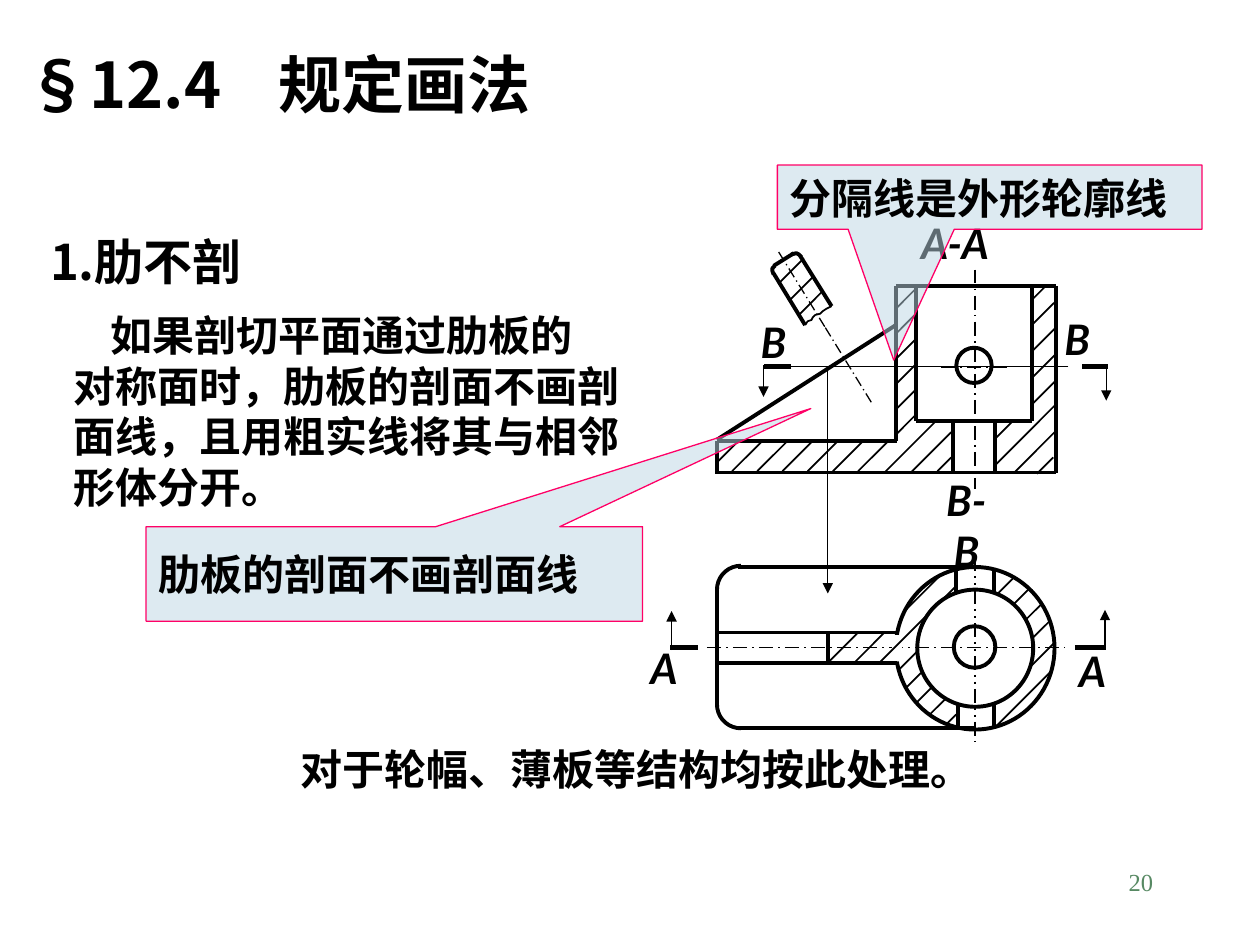
from math import cos, radians, sin

from lxml.etree import SubElement
from pptx import Presentation
from pptx.dml.color import RGBColor
from pptx.enum.dml import MSO_LINE
from pptx.enum.shapes import MSO_CONNECTOR, MSO_SHAPE
from pptx.enum.text import MSO_ANCHOR, MSO_AUTO_SIZE, PP_ALIGN
from pptx.oxml.ns import qn
from pptx.util import Inches, Pt

COLORS = {"ink": "000000", "paper": "FFFFFF", "callout": "BDD7E5",
          "callout_edge": "FF0066", "number": "578963"}
CJK = "Noto Sans CJK SC"
THICK, HATCH, THIN, CUT = 2.25, 1, 0.75, 3

deck = Presentation()
deck.slide_width, deck.slide_height = Inches(10), Inches(7.5)
page = deck.slides.add_slide(deck.slide_layouts[1])
shapes = page.shapes


def draw_line(x1, y1, x2, y2, width, dash=None, arrow=False):
    line = shapes.add_connector(MSO_CONNECTOR.STRAIGHT, *map(Inches, (x1, y1, x2, y2)))
    line.line.color.rgb = RGBColor.from_string(COLORS["ink"])
    line.line.width = Pt(width)
    if dash:
        line.line.dash_style = dash
    properties = line._element.spPr
    if arrow:
        SubElement(properties.find(qn("a:ln")), qn("a:tailEnd"), type="triangle")
    SubElement(properties, qn("a:effectLst"))


def write(box, lines, size, font=CJK, color="ink", align=PP_ALIGN.LEFT,
          anchor=MSO_ANCHOR.TOP, wrap=True, tab=None, indent=0, italic=False, bold=True):
    """Fill a shape's text frame; only the first line is indented."""
    frame = box.text_frame
    frame.text = "\n".join(lines)
    frame.word_wrap, frame.vertical_anchor = wrap, anchor
    frame.auto_size = MSO_AUTO_SIZE.NONE
    for index, para in enumerate(frame.paragraphs):
        para.alignment = align
        para.space_before = para.space_after = Pt(0)
        para.line_spacing = Pt(size * 1.2)
        properties = para._p.get_or_add_pPr()
        properties.set("marL", "0")
        properties.set("indent", str(0 if index else Inches(indent)))
        SubElement(properties, qn("a:buNone"))
        if tab:
            stops = SubElement(properties, qn("a:tabLst"))
            SubElement(stops, qn("a:tab"), pos=str(Inches(tab)), algn="l")
        for span in para.runs:
            values = {"name": font, "size": Pt(size), "bold": bold, "italic": italic}
            for name, value in values.items():
                setattr(span.font, name, value)
            span.font.color.rgb = RGBColor.from_string(COLORS[color])
            SubElement(span._r.get_or_add_rPr(), qn("a:ea"), typeface=font)


# Title, body and other text
title, body = shapes.title, page.placeholders[1]
for holder, place in ((title, (0.11, 0.31, 9.42, 0.7)), (body, (0.48, 2.41, 9.52, 1.7))):
    holder.left, holder.top, holder.width, holder.height = map(Inches, place)
write(title, ["§12.4\t规定画法"], 36, tab=2.01)
write(body, ["如果剖切平面通过肋板的", "对称面时，肋板的剖面不画剖",
             "面线，且用粗实线将其与相邻", "形体分开。"], 24, indent=0.3)

for place, text, size, style in (
    ((0.3, 1.79, 9.7, 0.57), "1.肋不剖", 28, {}),
    ((2.29, 5.85, 6.96, 0.5), "对于轮幅、薄板等结构均按此处理。", 24, {}),
    ((7.17, 6.83, 2.08, 0.5), "20", 14, {"font": "Times New Roman", "color": "number",
                                         "align": PP_ALIGN.RIGHT, "bold": False}),
):
    write(shapes.add_textbox(*map(Inches, place)), [text], size, **style)

# Centre lines
for x1, y1, x2, y2, width, dash in (
    (7.74, 4.42, 7.74, 5.89, 1, MSO_LINE.DASH_DOT_DOT),
    (5.61, 5.14, 8.45, 5.14, 1, MSO_LINE.LONG_DASH_DOT),
    (7.74, 2.14, 7.74, 3.88, 1, MSO_LINE.LONG_DASH_DOT),
    (7.47, 2.91, 8.01, 2.91, 1, MSO_LINE.LONG_DASH_DOT),
    (6.18, 2, 6.55, 2.6, THIN, MSO_LINE.LONG_DASH_DOT),
    (6.55, 2.6, 6.92, 3.2, THIN, MSO_LINE.LONG_DASH_DOT),
):
    draw_line(x1, y1, x2, y2, width, dash)

# Circles of the plan view and the cross hole
for place in ((7.11, 4.5, 1.26, 1.29), (7.28, 4.68, 0.92, 0.93),
              (7.57, 4.97, 0.33, 0.33), (7.59, 2.76, 0.28, 0.28)):
    circle = shapes.add_shape(MSO_SHAPE.OVAL, *map(Inches, place))
    circle.shadow.inherit = False
    circle.fill.background()
    circle.line.color.rgb = RGBColor.from_string(COLORS["ink"])
    circle.line.width = Pt(THICK)

# Opening where the rib meets the cylinder
opening = shapes.add_shape(MSO_SHAPE.RECTANGLE, *map(Inches, (7.08, 5.04, 0.08, 0.21)))
opening.shadow.inherit = False
opening.fill.solid()
opening.fill.fore_color.rgb = RGBColor.from_string(COLORS["paper"])
opening.line.fill.background()

plan_outline = [
    (7.74, 4.5, 5.86, 4.5), (5.87, 5.78, 7.74, 5.78), (5.69, 4.66, 5.69, 5.6),
    (5.69, 5.02, 7.12, 5.02), (5.69, 5.26, 7.12, 5.26), (6.57, 5.02, 6.57, 5.26),
    (7.59, 4.52, 7.59, 4.7), (7.89, 4.51, 7.89, 4.7),
    (7.6, 5.58, 7.6, 5.77), (7.89, 5.59, 7.89, 5.78),
]
front_outline = [
    (7.27, 2.28, 7.27, 3.34), (7.27, 3.34, 8.19, 3.34), (8.19, 3.34, 8.19, 2.28),
    (7.56, 3.34, 7.56, 3.75), (7.9, 3.34, 7.9, 3.75), (7.11, 2.57, 7.11, 3.5),
    (5.69, 3.5, 7.12, 3.5), (7.11, 2.27, 8.38, 2.27), (8.38, 2.27, 8.38, 3.75),
    (8.38, 3.75, 5.69, 3.75), (5.69, 3.76, 5.69, 3.5), (7.11, 2.27, 7.11, 2.58),
    (5.69, 3.49, 7.11, 2.58),
]
rib_outline = [(6.14, 2.11, 6.3, 2.01), (6.35, 2.03, 6.6, 2.43), (6.14, 2.17, 6.39, 2.58)]
for ends in plan_outline + front_outline + rib_outline:
    draw_line(*ends, THICK)

# Rounded corners and the break line of the rib section
corners = [
    [(5.88 + 0.19 * cos(radians(angle)), y + 0.19 * sin(radians(angle)))
     for angle in range(start, start + 91, 10)]
    for y, start in ((4.68, 180), (5.59, 90))
]
rib_corners = [[(6.14, 2.18), (6.13, 2.15), (6.13, 2.13), (6.15, 2.11)],
               [(6.28, 2.02), (6.32, 2.01), (6.34, 2.02), (6.36, 2.04)]]
rib_break = [(6.6, 2.43), (6.56, 2.45), (6.53, 2.47), (6.51, 2.49), (6.47, 2.5),
             (6.45, 2.52), (6.44, 2.54), (6.41, 2.55), (6.39, 2.58)]
for points, width in [(corner, THICK) for corner in corners + rib_corners] + [(rib_break, HATCH)]:
    points = [(Inches(x), Inches(y)) for x, y in points]
    builder = shapes.build_freeform(*points[0])
    builder.add_line_segments(points[1:], close=False)
    curve = builder.convert_to_shape()
    curve.shadow.inherit = False
    curve.fill.background()
    curve.line.color.rgb = RGBColor.from_string(COLORS["ink"])
    curve.line.width = Pt(width)

# Hatching at 45 degrees: lower left end and horizontal run
front_hatch = [(5.69, 3.67, 0.17), (8.2, 2.37, 0.1), (7.02, 3.75, 0.41), (7.23, 3.75, 0.32),
               (7.44, 3.74, 0.11), (7.89, 3.49, 0.15), (7.9, 3.69, 0.47),
               (8.05, 3.75, 0.32), (8.23, 3.76, 0.13)]
front_hatch += [(5.81 + 0.2 * step, 3.74, 0.24) for step in range(6)]
front_hatch += [(7.11, 2.45 + 0.2 * step, 0.16) for step in range(6)]
front_hatch += [(8.2, 2.57 + 0.21 * step, 0.17) for step in range(4)]
plan_hatch = [(6.58, 5.25, 0.23), (6.78, 5.26, 0.24), (7.18, 4.85, 0.29), (6.98, 5.26, 0.6),
              (7.13, 5.32, 0.15), (7.19, 5.46, 0.12), (7.92, 4.71, 0.12), (7.27, 5.58, 0.12),
              (8.04, 4.8, 0.12), (7.38, 5.67, 0.12), (8.14, 4.92, 0.12), (7.52, 5.74, 0.07),
              (8.19, 5.07, 0.14), (8.18, 5.29, 0.18), (7.91, 5.76, 0.43)]
rib_hatch = [(6.18, 2.25, 0.2), (6.26, 2.39, 0.19), (6.34, 2.5, 0.18)]
for x, y, run in front_hatch + plan_hatch + rib_hatch:
    draw_line(x, y, x + run, y - run, HATCH)

# Cutting planes: marks, arrows and letters
for ends in ((8.59, 2.91, 8.79, 2.91), (6.28, 2.91, 6.06, 2.91),
             (5.32, 5.14, 5.54, 5.14), (8.53, 5.14, 8.78, 5.14)):
    draw_line(*ends, CUT)
draw_line(8.48, 2.91, 6.21, 2.91, THIN)
for ends in ((8.78, 2.89, 8.78, 3.18), (6.06, 2.9, 6.06, 3.15), (6.57, 2.91, 6.57, 4.71),
             (5.33, 5.16, 5.33, 4.85), (8.77, 5.14, 8.77, 4.84)):
    draw_line(*ends, THIN, arrow=True)
for x, y, width, label in ((5.95, 2.46, 0.38, "B"), (8.36, 2.44, 0.38, "B"),
                           (5.07, 5.05, 0.4, "A"), (8.46, 5.07, 0.42, "A"),
                           (7.31, 3.92, 0.72, "B-B"), (7.2, 1.68, 0.76, "A-A")):
    box = shapes.add_textbox(*map(Inches, (x, y, width, 0.5)))
    write(box, [label], 24, font="Lato", align=PP_ALIGN.CENTER, anchor=MSO_ANCHOR.MIDDLE,
          wrap=label == "B-B", italic=True)

# Callouts
for place, tip, text in (
    ((1.16, 4.18, 3.94, 0.75), (0.839, -1.75), "肋板的剖面不画剖面线"),
    ((6.17, 1.31, 3.37, 0.51), (-0.226, 2.537), "分隔线是外形轮廓线"),
):
    callout = shapes.add_shape(MSO_SHAPE.RECTANGULAR_CALLOUT, *map(Inches, place))
    callout.shadow.inherit = False
    callout.adjustments[0], callout.adjustments[1] = tip
    callout.fill.solid()
    callout.fill.fore_color.rgb = RGBColor.from_string(COLORS["callout"])
    tint = callout._element.spPr.find(qn("a:solidFill"))[0]
    SubElement(tint, qn("a:alpha"), val="50000")
    callout.line.color.rgb = RGBColor.from_string(COLORS["callout_edge"])
    callout.line.width = Pt(THIN)
    write(callout, [text], 24, anchor=MSO_ANCHOR.MIDDLE, wrap=False)

deck.save("out.pptx")
